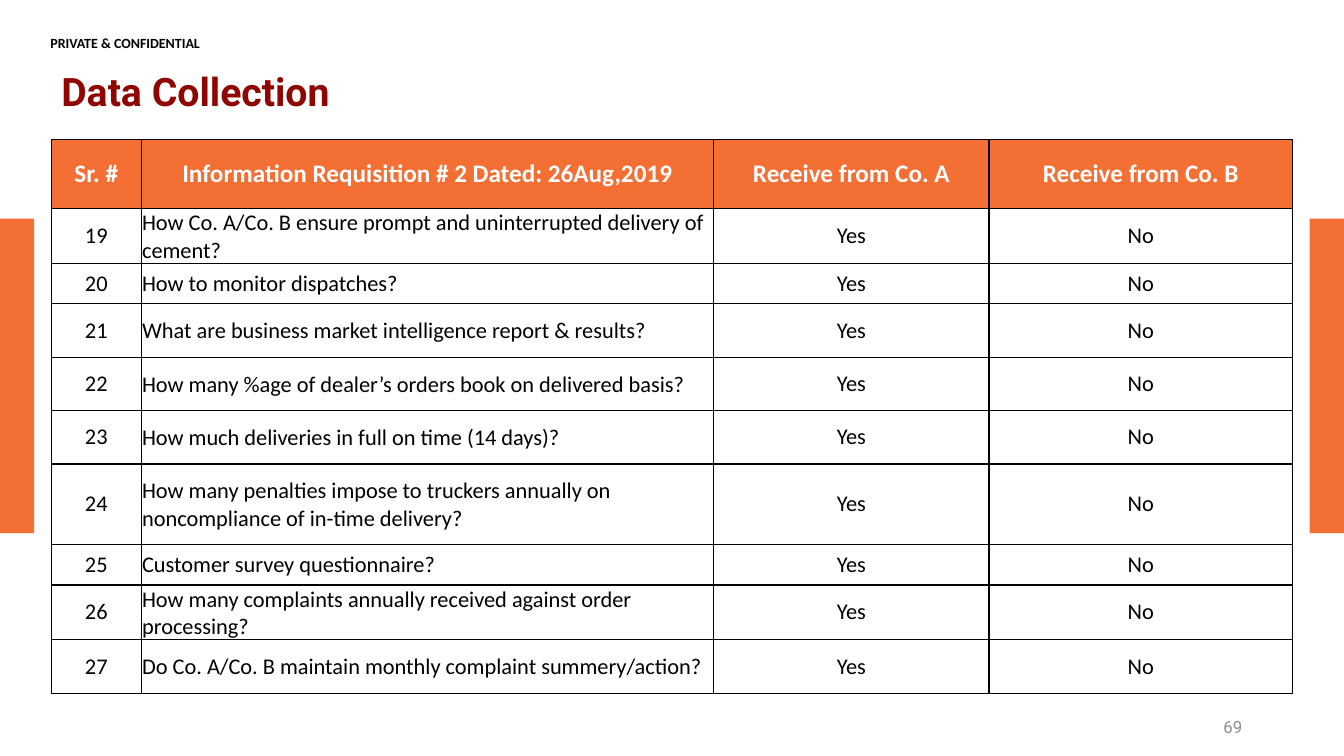
import lxml.etree
import pptx
import pptx.dml.color
import pptx.enum.shapes
import pptx.enum.text
import pptx.oxml.ns
import pptx.util

Inches = pptx.util.Inches
RGBColor = pptx.dml.color.RGBColor
ALIGN = pptx.enum.text.PP_ALIGN
MIDDLE = pptx.enum.text.MSO_ANCHOR.MIDDLE
TOP = pptx.enum.text.MSO_ANCHOR.TOP

HEADERS = ("Sr. #", "Information Requisition # 2 Dated: 26Aug,2019",
           "Receive from Co. A", "Receive from Co. B")
FIRST_NUMBER = 19
QUESTIONS = (
    ("How Co. A/Co. B ensure prompt and uninterrupted delivery of cement?", 0.53),
    ("How to monitor dispatches?", 0.4),
    ("What are business market intelligence report & results?", 0.53),
    ("How many %age of dealer’s orders book on delivered basis?", 0.53),
    ("How much deliveries in full on time (14 days)?", 0.53),
    ("How many penalties impose to truckers annually on noncompliance of in-time delivery?", 0.8),
    ("Customer survey questionnaire?", 0.4),
    ("How many complaints annually received against order processing?", 0.53),
    ("Do Co. A/Co. B maintain monthly complaint summery/action?", 0.53),
)
ANSWERS = ("Yes", "No")

SLIDE_WIDTH, SLIDE_HEIGHT = 13.33, 7.5
BAR_TOP, BAR_WIDTH, BAR_HEIGHT = 2.17, 0.34, 3.12
TABLE_LEFT, TABLE_TOP = 0.51, 1.38
HEADER_HEIGHT = 0.69
COLUMN_WIDTHS = (0.89, 5.68, 2.73, 3.01)
QUESTION_COLUMN = 1

ORANGE = RGBColor(0xF4, 0x6F, 0x33)
HEADER_ORANGE = RGBColor(0xF3, 0x6F, 0x33)
DARK_RED = RGBColor(0x8F, 0x05, 0x00)
GRAY = RGBColor(0x8C, 0x8C, 0x8C)
BLACK = RGBColor(0, 0, 0)
WHITE = RGBColor(0xFF, 0xFF, 0xFF)

CONFIDENTIAL_FONT = {"name": "Calibri", "size": pptx.util.Pt(10), "bold": True}
TITLE_FONT = {"name": "Roboto", "size": pptx.util.Pt(28), "bold": True}
NUMBER_FONT = {"name": "Roboto", "size": pptx.util.Pt(12), "bold": False}
HEADER_FONT = {"name": "Calibri", "size": pptx.util.Pt(18), "bold": True}
BODY_FONT = {"name": "Calibri", "size": pptx.util.Pt(16), "bold": False}

BOX_INSETS = (0.1, 0.05, 0.1, 0.05)
NO_INSETS = (0, 0, 0, 0)
CELL_INSETS = (0.13, 0.05, 0.13, 0.05)
QUESTION_INSETS = (0.01, 0.01, 0.01, 0)

TEXT_BOXES = (
    ("PRIVATE & CONFIDENTIAL", (0.5, 0.34, 2.53, 0.12), CONFIDENTIAL_FONT, BLACK,
     NO_INSETS, TOP, {"alignment": ALIGN.LEFT}),
    ("Data Collection", (0.51, 0.58, 10.86, 0.71), TITLE_FONT, DARK_RED,
     BOX_INSETS, MIDDLE, {"alignment": ALIGN.LEFT, "line_spacing": 0.9}),
    ("69", (9.42, 7.01, 3, 0.4), NUMBER_FONT, GRAY,
     BOX_INSETS, MIDDLE, {"alignment": ALIGN.RIGHT}),
)


def set_attributes(target, values):
    for name, value in values.items():
        setattr(target, name, value)


def set_insets(target, insets):
    sides = ("margin_left", "margin_top", "margin_right", "margin_bottom")
    set_attributes(target, dict(zip(sides, map(Inches, insets))))


def write_text(text_frame, text, font, color, paragraph_format):
    paragraph = text_frame.paragraphs[0]
    set_attributes(paragraph, paragraph_format)
    run = paragraph.add_run()
    run.text = text
    set_attributes(run.font, font)
    run.font.color.rgb = color


def add_side_bar(slide, left):
    bar = slide.shapes.add_shape(
        pptx.enum.shapes.MSO_SHAPE.RECTANGLE,
        *map(Inches, (left, BAR_TOP, BAR_WIDTH, BAR_HEIGHT)))
    bar.shadow.inherit = False
    bar.fill.solid()
    bar.fill.fore_color.rgb = ORANGE
    bar.line.fill.background()


def add_text_box(slide, text, bounds, font, color, insets, anchor, paragraph_format):
    text_frame = slide.shapes.add_textbox(*map(Inches, bounds)).text_frame
    set_attributes(text_frame, {"word_wrap": True, "vertical_anchor": anchor})
    set_insets(text_frame, insets)
    write_text(text_frame, text, font, color, paragraph_format)


def add_borders(cell):
    qualify = pptx.oxml.ns.qn
    properties = cell._tc.get_or_add_tcPr()
    for side in ("a:lnL", "a:lnR", "a:lnT", "a:lnB"):
        border = lxml.etree.SubElement(
            properties, qualify(side), w=str(pptx.util.Pt(1)))
        fill = lxml.etree.SubElement(border, qualify("a:solidFill"))
        lxml.etree.SubElement(fill, qualify("a:srgbClr"), val=str(BLACK))


def fill_cell(cell, text, is_header, is_question):
    add_borders(cell)
    cell.vertical_anchor = MIDDLE
    set_insets(cell, QUESTION_INSETS if is_question else CELL_INSETS)
    if is_header:
        cell.fill.solid()
        cell.fill.fore_color.rgb = HEADER_ORANGE
    else:
        cell.fill.background()
    write_text(cell.text_frame, text,
               HEADER_FONT if is_header else BODY_FONT,
               WHITE if is_header else BLACK,
               {"alignment": ALIGN.LEFT if is_question else ALIGN.CENTER})


def add_requisition_table(slide):
    rows = [HEADERS] + [(str(number), question, *ANSWERS)
                        for number, (question, _) in enumerate(QUESTIONS, FIRST_NUMBER)]
    heights = [HEADER_HEIGHT] + [height for _, height in QUESTIONS]
    bounds = (TABLE_LEFT, TABLE_TOP, sum(COLUMN_WIDTHS), sum(heights))
    table = slide.shapes.add_table(
        len(rows), len(HEADERS), *map(Inches, bounds)).table
    for column, width in zip(table.columns, COLUMN_WIDTHS):
        column.width = Inches(width)
    for row_index, (texts, height) in enumerate(zip(rows, heights)):
        table.rows[row_index].height = Inches(height)
        for column_index, text in enumerate(texts):
            is_header = row_index == 0
            is_question = not is_header and column_index == QUESTION_COLUMN
            fill_cell(table.cell(row_index, column_index), text, is_header, is_question)


def main():
    presentation = pptx.Presentation()
    presentation.slide_width = Inches(SLIDE_WIDTH)
    presentation.slide_height = Inches(SLIDE_HEIGHT)
    slide = presentation.slides.add_slide(presentation.slide_layouts[6])
    for left in (0, SLIDE_WIDTH - BAR_WIDTH):
        add_side_bar(slide, left)
    for text_box in TEXT_BOXES:
        add_text_box(slide, *text_box)
    add_requisition_table(slide)
    presentation.save("out.pptx")


if __name__ == "__main__":
    main()
